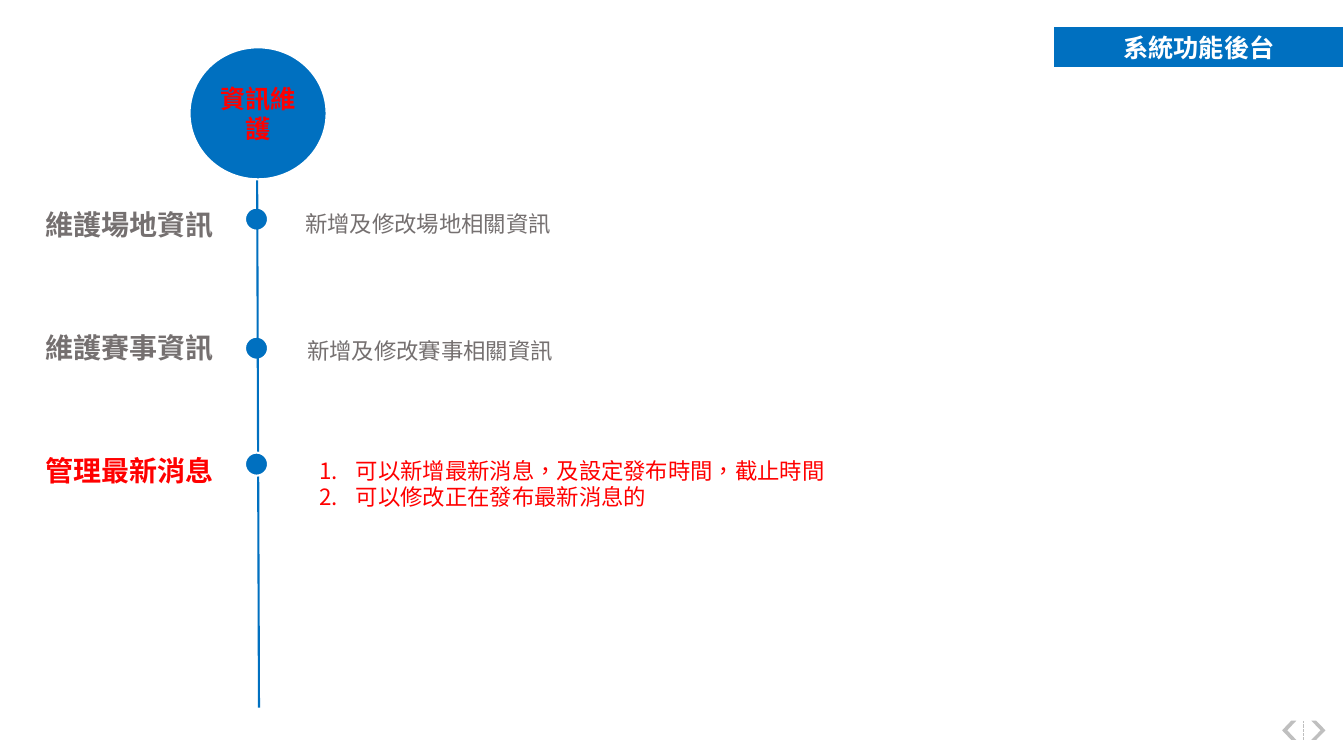
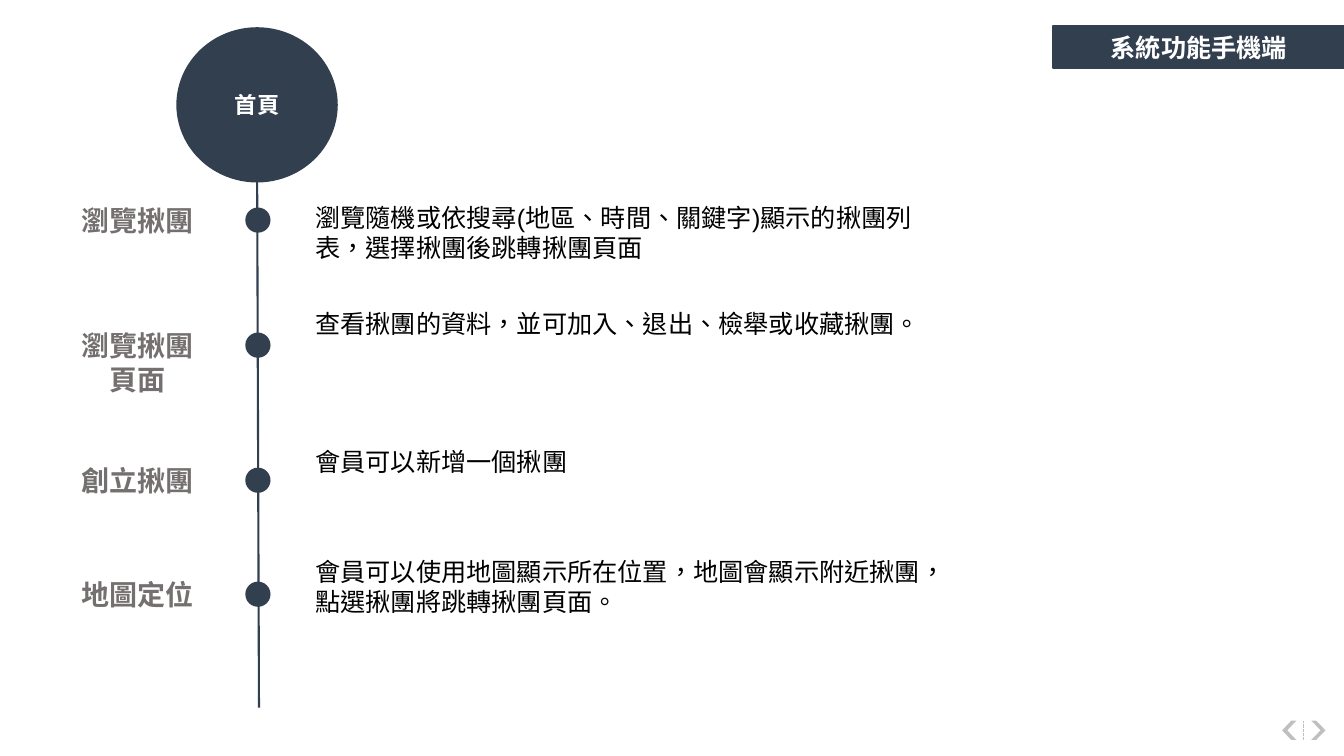
import pptx
import pptx.util
import pptx.dml.color
import pptx.enum.dml
import pptx.enum.lang
import pptx.enum.shapes
import pptx.enum.text
import pptx.oxml.ns
import lxml.etree

Pt = pptx.util.Pt
Align = pptx.enum.text.PP_ALIGN
Anchor = pptx.enum.text.MSO_ANCHOR
Shape = pptx.enum.shapes.MSO_SHAPE
qn = pptx.oxml.ns.qn

COLORS = {"blue": "0070C0", "navy": "323F4F", "white": "FFFFFF", "gray": "757070",
          "red": "FF0000", "black": "000000", "mark": "BFBFBF"}
BANNER = (752.4, 18.7, 208, 30.2)
SPINE = (183.6, 105.8, 185, 505.4)
DOT = 16.5

PAGES = [
    {"title": "系統功能後台", "fill": "blue", "edge": "white",
     "hub": ("資訊維護", (135.4, 33.8, 97.9, 94.3), 18, "red"),
     "label": (20.2, 144.7), "text": (16, "gray", 3.6, 192.5), "dot": 175, "under": 2,
     "rows": [
         ("維護場地資訊", "gray", 144.7, 148.3, (211, 146.9), "新增及修改場地相關資訊"),
         ("維護賽事資訊", "gray", 232.6, 240.5, (212.4, 237.6), "新增及修改賽事相關資訊"),
         ("管理最新消息", "red", 320.5, 323.3, None, None)],
     "list": ((211, 322.6, 481.7, 54.7),
              ["可以新增最新消息，及設定發布時間，截止時間", "可以修改正在發布最新消息的"])},
    {"title": "系統功能手機端", "fill": "navy", "edge": "navy",
     "hub": ("首頁", (126.7, 20.2, 113.8, 109.4), 16, "white"),
     "label": (45.4, 105.8), "text": (18, "black", 7.2, 455.8), "dot": 176, "under": 0,
     "rows": [
         ("瀏覽揪團", "gray", 141.8, 149, (218.2, 137.5),
          "瀏覽隨機或依搜尋(地區、時間、關鍵字)顯示的揪團列表，選擇揪團後跳轉揪團頁面"),
         ("瀏覽揪團頁面", "gray", 231.1, 238.3, (218.2, 213.1),
          "查看揪團的資料，並可加入、退出、檢舉或收藏揪團。"),
         ("創立揪團", "gray", 327.6, 334.8, (218.2, 311.8), "會員可以新增一個揪團"),
         ("地圖定位", "gray", 409, 416.2, (218.2, 390.2),
          "會員可以使用地圖顯示所在位置，地圖會顯示附近揪團，點選揪團將跳轉揪團頁面。")],
     "list": None},
]


def rgb(name):
    return pptx.dml.color.RGBColor.from_string(COLORS[name])


def place(shape, box):
    shape.left, shape.top, shape.width, shape.height = map(Pt, box)


def paint(shape, fill, edge=None):
    shape.fill.solid()
    shape.fill.fore_color.rgb = rgb(fill)
    if edge:
        shape.line.color.rgb = rgb(edge)
        shape.line.width = Pt(1.5)
    else:
        shape.line.fill.background()


def write(shape, text, size=18, color="white", bold=False, font="Arial",
          align=Align.CENTER, anchor=Anchor.MIDDLE, pad=3.6):
    frame = shape.text_frame
    frame.text = text
    frame.word_wrap = True
    frame.auto_size = pptx.enum.text.MSO_AUTO_SIZE.NONE
    frame.vertical_anchor = anchor
    frame.margin_left = frame.margin_right = Pt(7.2)
    frame.margin_top = frame.margin_bottom = Pt(pad)
    for para in frame.paragraphs:
        para.alignment = align
        para.space_before = Pt(0)
        for run in para.runs:
            run.font.name = font
            run.font.size = Pt(size)
            run.font.bold = bold
            run.font.color.rgb = rgb(color)
            run.font.language_id = pptx.enum.lang.MSO_LANGUAGE_ID.TRADITIONAL_CHINESE


def add_form(shapes, kind, box, fill, edge=None):
    form = shapes.add_shape(kind, *map(Pt, box))
    form.shadow.inherit = False
    paint(form, fill, edge)
    return form


def add_line(shapes, ends, color, width):
    line = shapes.add_connector(pptx.enum.shapes.MSO_CONNECTOR.STRAIGHT, *map(Pt, ends))
    line.line.color.rgb = rgb(color)
    line.line.width = Pt(width)
    lxml.etree.SubElement(line.element.spPr, qn("a:effectLst"))
    return line


def add_text(slide, box, text, **style):
    write(slide.shapes.add_textbox(*map(Pt, box)), text, anchor=Anchor.TOP, **style)


def number(shape, color):
    for para in shape.text_frame.paragraphs:
        props = para._p.get_or_add_pPr()
        props.set("marL", str(Pt(36)))
        props.set("indent", str(-Pt(26)))
        tint = lxml.etree.SubElement(props, qn("a:buClr"))
        lxml.etree.SubElement(tint, qn("a:srgbClr"), val=COLORS[color])
        lxml.etree.SubElement(props, qn("a:buFont"), typeface="+mj-lt")
        lxml.etree.SubElement(props, qn("a:buAutoNum"), type="arabicPeriod")


def set_master(master, slide):
    place(master.placeholders[0], BANNER)
    group = slide.shapes.add_group_shape()
    for left, turn, bend in ((936.7, 0, 0.66), (915.8, 180, 0.64)):
        arrow = add_form(group.shapes, Shape.CHEVRON, (left, 514.8, 10.1, 13.7), "mark")
        arrow.rotation = turn
        arrow.adjustments[0] = bend
    rule = add_line(group.shapes, (931, 528.5, 931, 514.8), "mark", 0.75)
    rule.line.dash_style = pptx.enum.dml.MSO_LINE.SQUARE_DOT
    for key, node in enumerate(group.element.iter(qn("p:cNvPr")), 20):
        node.set("id", str(key))
    master.shapes.element.append(group.element)


def add_dots(slide, page, rows):
    for row in rows:
        add_form(slide.shapes, Shape.OVAL, (page["dot"], row[3], DOT, DOT),
                 page["fill"], page["edge"])


def fill_page(slide, page):
    title = slide.shapes.title
    write(title, page["title"], bold=True)
    paint(title, page["fill"], page["edge"])

    add_dots(slide, page, page["rows"][:page["under"]])
    add_line(slide.shapes, SPINE, page["fill"], 1.5)
    add_dots(slide, page, page["rows"][page["under"]:])
    name, box, size, color = page["hub"]
    hub = add_form(slide.shapes, Shape.OVAL, box, page["fill"], page["edge"])
    write(hub, name, size=size, color=color, bold=True)

    left, width = page["label"]
    size, color, pad, span = page["text"]
    for label, tint, top, _, spot, text in page["rows"]:
        add_text(slide, (left, top, width, 31.7), label, size=20, color=tint, bold=True)
        if text:
            add_text(slide, (*spot, span, 20 + 6.6 * pad), text, size=size,
                     color=color, align=Align.LEFT, pad=pad)

    if page["list"]:
        box, items = page["list"]
        body = slide.placeholders[1]
        place(body, box)
        write(body, "\n".join(items), size=16, color="red", font="Calibri",
              align=Align.LEFT, anchor=Anchor.TOP)
        number(body, "red")


def main():
    deck = pptx.Presentation()
    deck.slide_width, deck.slide_height = Pt(960), Pt(540)
    for index, page in enumerate(PAGES):
        slide = deck.slides.add_slide(deck.slide_layouts[1 if page["list"] else 5])
        if index == 0:
            set_master(deck.slide_master, slide)
        fill_page(slide, page)
    deck.save("out.pptx")


if __name__ == "__main__":
    main()
